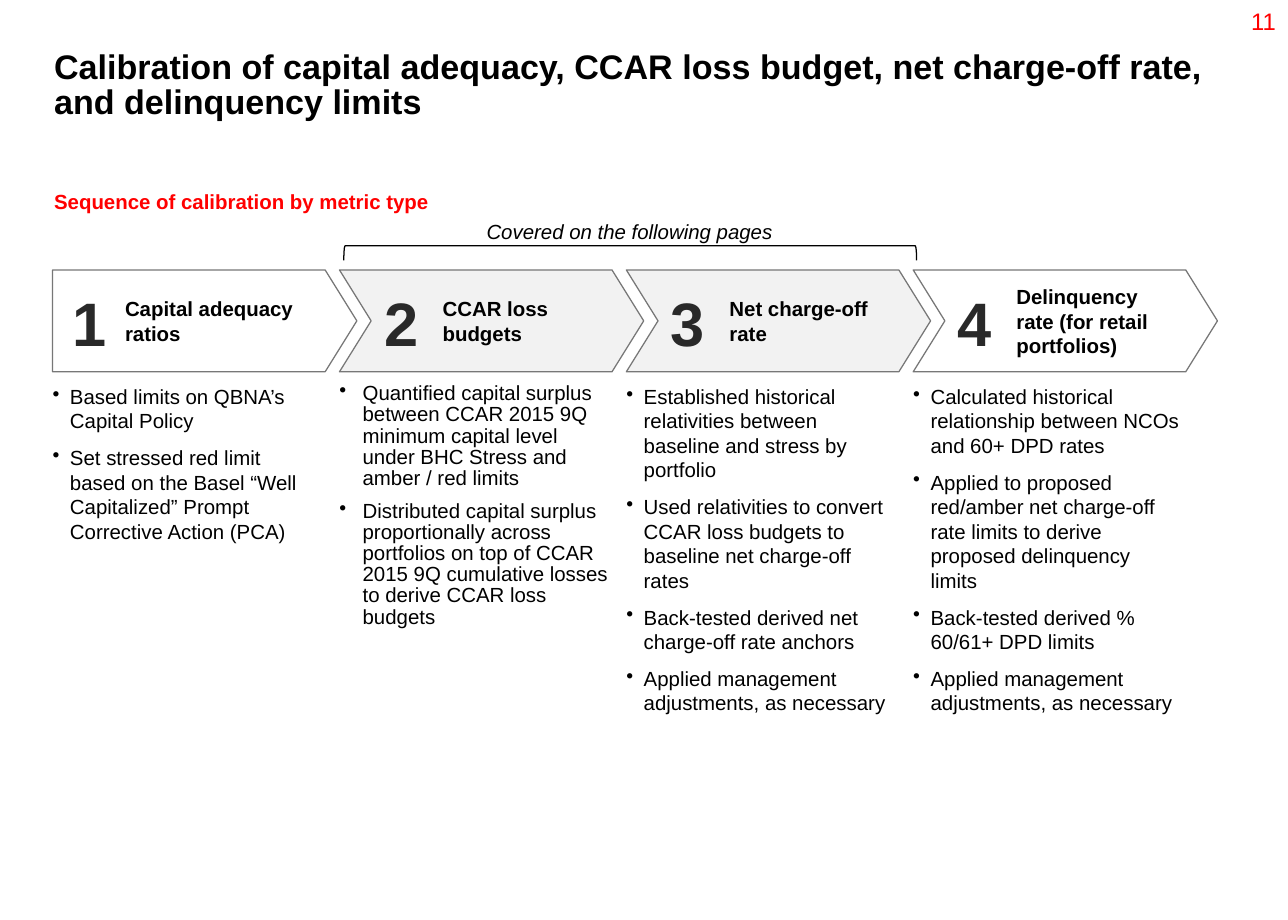
import pptx
import pptx.dml.color
import pptx.enum.shapes
import pptx.enum.text
import pptx.oxml
import pptx.oxml.ns
import pptx.util
from pptx.util import Cm

COLORS = {
    "black": "000000",
    "red": "FF0000",
    "numeral": "292929",
    "outline": "777777",
    "highlight": "F2F2F2",
    "white": "FFFFFF",
}
ALIGN = pptx.enum.text.PP_ALIGN
ANCHOR = pptx.enum.text.MSO_ANCHOR
SHAPE = pptx.enum.shapes.MSO_SHAPE


def write(frame, lines, size=12, color="black", bold=False, italic=False,
          align=ALIGN.LEFT, spacing=1.0, margins=(0, 0, 0, 0),
          anchor=ANCHOR.TOP, wrap=True):
    frame.auto_size = pptx.enum.text.MSO_AUTO_SIZE.NONE
    frame.word_wrap = wrap
    frame.vertical_anchor = anchor
    frame.margin_left, frame.margin_top, frame.margin_right, frame.margin_bottom = map(Cm, margins)
    frame.text = "\n".join(lines)
    for paragraph in frame.paragraphs:
        paragraph.alignment = align
        paragraph.line_spacing = spacing
        paragraph.space_before = pptx.util.Pt(0)
        paragraph.font.name = "Arial"
        paragraph.font.size = pptx.util.Pt(size)
        paragraph.font.bold = bold
        paragraph.font.italic = italic
        paragraph.font.color.rgb = pptx.dml.color.RGBColor.from_string(COLORS[color])


def indent(paragraph, left, hanging, bullet=None):
    properties = paragraph._p.get_or_add_pPr()
    properties.set("marL", str(Cm(left)))
    properties.set("indent", str(Cm(-hanging)))
    namespace = pptx.oxml.ns.nsdecls("a")
    mark = f'<a:buChar {namespace} char="{bullet}"/>' if bullet else f"<a:buNone {namespace}/>"
    properties.insert_element_before(
        pptx.oxml.parse_xml(mark), "a:tabLst", "a:defRPr", "a:extLst")


steps = [
    ("Capital adequacy ratios", "white", [
        "Based limits on QBNA’s Capital Policy",
        "Set stressed red limit based on the Basel “Well Capitalized” Prompt Corrective Action (PCA)",
    ]),
    ("CCAR loss budgets", "highlight", [
        "Quantified capital surplus between CCAR 2015 9Q minimum capital level under BHC Stress and amber / red limits",
        "Distributed capital surplus proportionally across portfolios on top of CCAR 2015 9Q cumulative losses to derive CCAR loss budgets",
    ]),
    ("Net charge-off rate", "highlight", [
        "Established historical relativities between baseline and stress by portfolio",
        "Used relativities to convert CCAR loss budgets to baseline net charge-off rates",
        "Back-tested derived net charge-off rate anchors",
        "Applied management adjustments, as necessary",
    ]),
    ("Delinquency rate (for retail portfolios)", "white", [
        "Calculated historical relationship between NCOs and 60+ DPD rates",
        "Applied to proposed red/amber net charge-off rate limits to derive proposed delinquency limits",
        "Back-tested derived % 60/61+ DPD limits",
        "Applied management adjustments, as necessary",
    ]),
]

presentation = pptx.Presentation()
presentation.slide_width = Cm(26.67)
presentation.slide_height = Cm(19.05)
slide = presentation.slides.add_slide(presentation.slide_layouts[1])
shapes = slide.shapes

headline = shapes.title
headline.left, headline.top, headline.width, headline.height = Cm(1.12), Cm(1.07), Cm(24.43), Cm(2.03)
write(headline.text_frame,
      ["Calibration of capital adequacy, CCAR loss budget, net charge-off rate, and delinquency limits"],
      size=20, bold=True, spacing=0.86)

subtitle = slide.placeholders[1]
subtitle.left, subtitle.top, subtitle.width, subtitle.height = Cm(1.12), Cm(3.91), Cm(10.95), Cm(0.94)
write(subtitle.text_frame, ["Sequence of calibration by metric type"], color="red", bold=True)
indent(subtitle.text_frame.paragraphs[0], 0, 0)

for index, (metric, fill, actions) in enumerate(steps):
    left = 1.09 + 5.94 * index
    first = index == 0

    arrow = shapes.add_shape(SHAPE.PENTAGON if first else SHAPE.CHEVRON,
                             Cm(left), Cm(5.59), Cm(6.3), Cm(2.11))
    arrow.adjustments[0] = 0.311
    arrow.shadow.inherit = False
    arrow.fill.solid()
    arrow.fill.fore_color.rgb = pptx.dml.color.RGBColor.from_string(COLORS[fill])
    arrow.line.color.rgb = pptx.dml.color.RGBColor.from_string(COLORS["outline"])
    arrow.line.width = pptx.util.Pt(0.75)
    write(arrow.text_frame, [metric], bold=True, anchor=ANCHOR.MIDDLE,
          margins=(1.02 if first else 0.51, 0.13, 0.13, 0.13))
    indent(arrow.text_frame.paragraphs[0], 0.48 if first else 0.97, 0)

    numeral = shapes.add_textbox(Cm(left), Cm(5.61), Cm(1.37 if first else 1.88), Cm(2.11))
    write(numeral.text_frame, [str(index + 1)], size=36, color="numeral", bold=True,
          align=ALIGN.RIGHT, anchor=ANCHOR.MIDDLE, wrap=False,
          margins=(0.25, 0.13, 0.25, 0.13))

    tight = metric == "CCAR loss budgets"
    hanging = 0.48 if tight else 0.36
    details = shapes.add_textbox(Cm(left), Cm(7.95), Cm(5.58), Cm(8.7 if len(actions) > 2 else 5.16))
    write(details.text_frame, actions, spacing=0.86 if tight else 1.0)
    for position, paragraph in enumerate(details.text_frame.paragraphs):
        paragraph.space_before = pptx.util.Pt(7.2 if position else 0)
        indent(paragraph, hanging, hanging, "•")

bracket = shapes.add_shape(SHAPE.RIGHT_BRACKET, Cm(12.9), Cm(-0.69), Cm(0.3), Cm(11.86))
bracket.rotation = 270
bracket.shadow.inherit = False
bracket.fill.background()
bracket.line.color.rgb = pptx.dml.color.RGBColor.from_string(COLORS["black"])
bracket.line.width = pptx.util.Pt(0.75)

coverage = shapes.add_textbox(Cm(9.8), Cm(4.47), Cm(6.48), Cm(0.69))
write(coverage.text_frame, ["Covered on the following pages"], italic=True, align=ALIGN.CENTER,
      spacing=0.86, wrap=False, margins=(0.25, 0.13, 0.25, 0.13))

page_number = shapes.add_textbox(Cm(25.55), Cm(0), Cm(1.12), Cm(1.07))
write(page_number.text_frame, ["11"], size=14, color="red", align=ALIGN.RIGHT,
      wrap=False, margins=(0.25, 0.13, 0.25, 0.13))

presentation.save("out.pptx")
